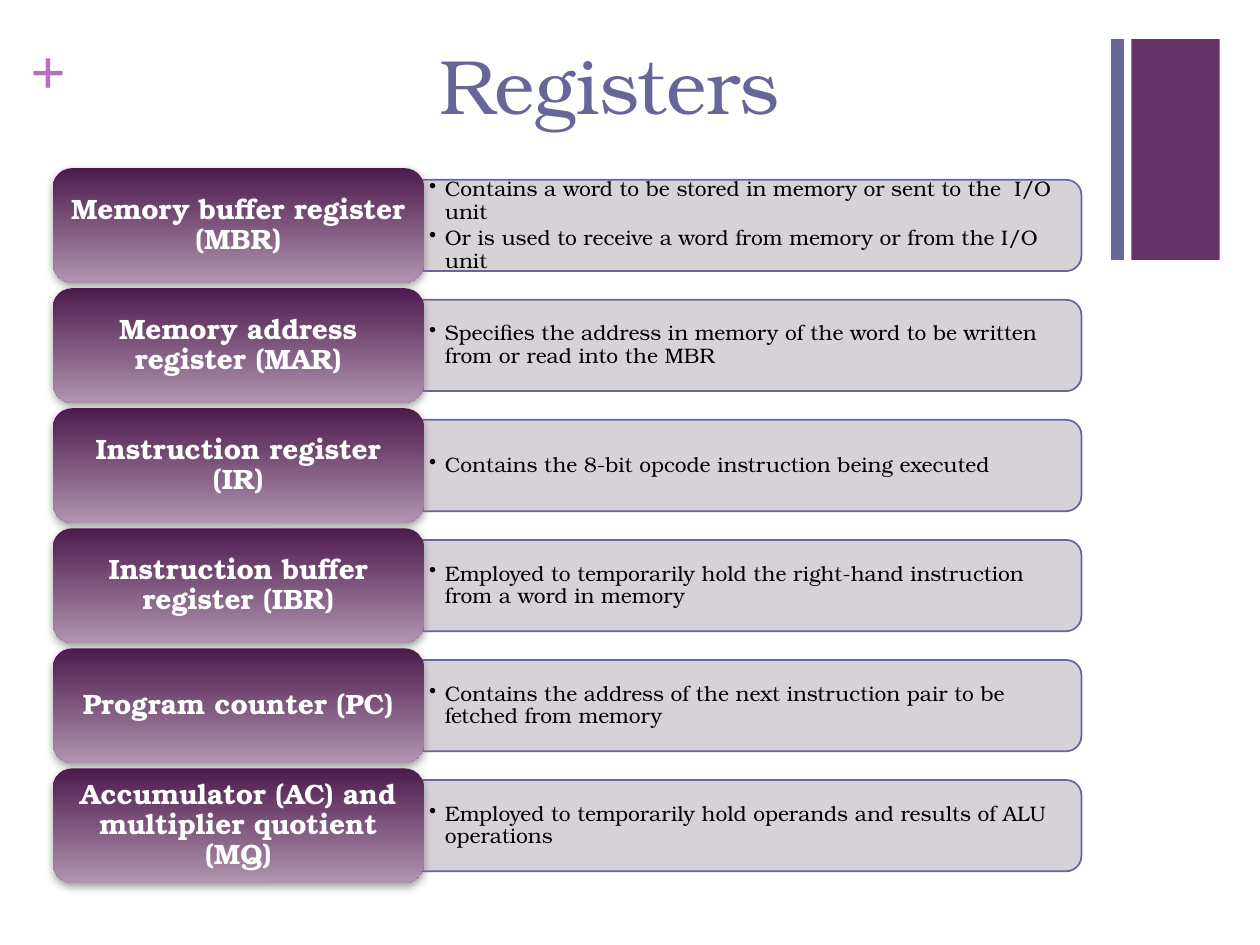
from lxml import etree
from pptx import Presentation
from pptx import util as u
from pptx.dml.color import RGBColor
from pptx.enum import shapes, text
from pptx.oxml.ns import qn

TITLE = "Registers"
REGISTERS = [
    ("Memory buffer register (MBR)",
     ["Contains a word to be stored in memory or sent to the  I/O unit",
      "Or is used to receive a word from memory or from the I/O unit"]),
    ("Memory address register (MAR)",
     ["Specifies the address in memory of the word to be written from or read into the MBR"]),
    ("Instruction register (IR)",
     ["Contains the 8-bit opcode instruction being executed"]),
    ("Instruction buffer register (IBR)",
     ["Employed to temporarily hold the right-hand instruction from a word in memory"]),
    ("Program counter (PC)",
     ["Contains the address of the next instruction pair to be fetched from memory"]),
    ("Accumulator (AC) and multiplier quotient (MQ)",
     ["Employed to temporarily hold operands and results of ALU operations"]),
]
COLORS = {
    "plum": "663366", "slate": "666699", "plus": "B870B8", "bar": "D3CED3",
    "label_top": "4D1A4D", "label_bottom": "AF94AF", "shadow": "808080",
    "label_text": "FFFFFF", "body_text": "000000",
}
SERIF = "TeX Gyre Bonum"

# Row layout, in centimetres
FIRST_TOP, ROW_PITCH = 3.39, 2.42
LABEL_LEFT, LABEL_WIDTH, LABEL_HEIGHT = 1.07, 7.47, 2.31
BAR_LEFT, BAR_LENGTH, BAR_THICKNESS = 8.52, 13.28, 1.84
DETAIL_WIDTH, DETAIL_HEIGHT = 13.18, 1.65


def rgb(name):
    return RGBColor.from_string(COLORS[name])


def add_block(slide, kind, left, top, width, height, fill=None):
    block = slide.shapes.add_shape(kind, *map(u.Cm, (left, top, width, height)))
    block.shadow.inherit = False
    block.line.fill.background()
    if fill:
        block.fill.solid()
        block.fill.fore_color.rgb = rgb(fill)
    return block


def add_box(slide, left, top, width, height):
    return slide.shapes.add_textbox(*map(u.Cm, (left, top, width, height))).text_frame


def write(frame, lines, size, color, font=SERIF, bold=False, align=text.PP_ALIGN.LEFT,
          margins=None, anchor=text.MSO_ANCHOR.TOP, spacing=None, after=0):
    frame.word_wrap = True
    frame.vertical_anchor = anchor
    if margins:
        side, end = map(u.Cm, margins)
        frame.margin_left = frame.margin_right = side
        frame.margin_top = frame.margin_bottom = end
    frame.text = "\n".join(lines)
    for paragraph in frame.paragraphs:
        paragraph.alignment = align
        paragraph.line_spacing = spacing
        paragraph.space_after = u.Pt(after)
        paragraph.font.name = font
        paragraph.font.size = u.Pt(size)
        paragraph.font.bold = bold
        paragraph.font.color.rgb = rgb(color)


def add_bullets(frame, indent):
    for paragraph in frame.paragraphs:
        properties = paragraph._p.get_or_add_pPr()
        properties.set("marL", str(indent))
        properties.set("indent", str(-indent))
        bullet = etree.Element(qn("a:buChar"), char="•")
        properties.insert_element_before(bullet, "a:tabLst", "a:defRPr", "a:extLst")


def add_drop_shadow(shape):
    effects = shape._element.spPr.find(qn("a:effectLst"))
    shadow = etree.SubElement(effects, qn("a:outerShdw"), blurRad=str(u.Pt(5)),
                              dist=str(u.Pt(2)), dir="5400000", rotWithShape="0")
    tint = etree.SubElement(shadow, qn("a:srgbClr"), val=COLORS["shadow"])
    etree.SubElement(tint, qn("a:alpha"), val="75000")


def add_bar(slide, middle):
    """Draw an upright shape turned a quarter so its round corners face right."""
    bar = add_block(slide, shapes.MSO_SHAPE.ROUND_2_SAME_RECTANGLE,
                    BAR_LEFT + (BAR_LENGTH - BAR_THICKNESS) / 2, middle - BAR_LENGTH / 2,
                    BAR_THICKNESS, BAR_LENGTH, "bar")
    bar.rotation = 90
    bar.line.color.rgb = rgb("slate")
    bar.line.width = u.Pt(1)
    tint = bar._element.spPr.find(qn("a:solidFill"))[0]
    etree.SubElement(tint, qn("a:alpha"), val="90000")


def add_label(slide, name, top):
    label = add_block(slide, shapes.MSO_SHAPE.ROUNDED_RECTANGLE,
                      LABEL_LEFT, top, LABEL_WIDTH, LABEL_HEIGHT)
    label.fill.gradient()
    label.fill.gradient_angle = 270
    for stop, color in zip(label.fill.gradient_stops, ("label_top", "label_bottom")):
        stop.color.rgb = rgb(color)
    add_drop_shadow(label)
    write(label.text_frame, [name], 16, "label_text", bold=True, align=text.PP_ALIGN.CENTER,
          margins=(0.17, 0.08), anchor=text.MSO_ANCHOR.MIDDLE, spacing=0.9)


def add_register(slide, row, name, details):
    top = FIRST_TOP + row * ROW_PITCH
    middle = top + LABEL_HEIGHT / 2
    add_bar(slide, middle)
    frame = add_box(slide, BAR_LEFT, middle - DETAIL_HEIGHT / 2, DETAIL_WIDTH, DETAIL_HEIGHT)
    write(frame, details, 12, "body_text", margins=(0.13, 0.08),
          anchor=text.MSO_ANCHOR.MIDDLE, spacing=0.9, after=2)
    add_bullets(frame, u.Cm(0.32))
    add_label(slide, name, top)


def main():
    deck = Presentation()
    deck.slide_width, deck.slide_height = u.Cm(25.4), u.Cm(19.05)
    slide = deck.slides.add_slide(deck.slide_layouts[6])

    for left, width, color in ((22.81, 1.78, "plum"), (22.4, 0.26, "slate")):
        add_block(slide, shapes.MSO_SHAPE.RECTANGLE, left, 0.79, width, 4.45, color)
    write(add_box(slide, 0.61, 0.64, 0.74, 1.55), ["+"], 36, "plus",
          font="Times New Roman", bold=True, margins=(0, 0))
    write(add_box(slide, 0, 0.64, 15.98, 3.1), [TITLE], 44, "slate",
          align=text.PP_ALIGN.RIGHT)

    for row, (name, details) in enumerate(REGISTERS):
        add_register(slide, row, name, details)
    deck.save("out.pptx")


if __name__ == "__main__":
    main()
